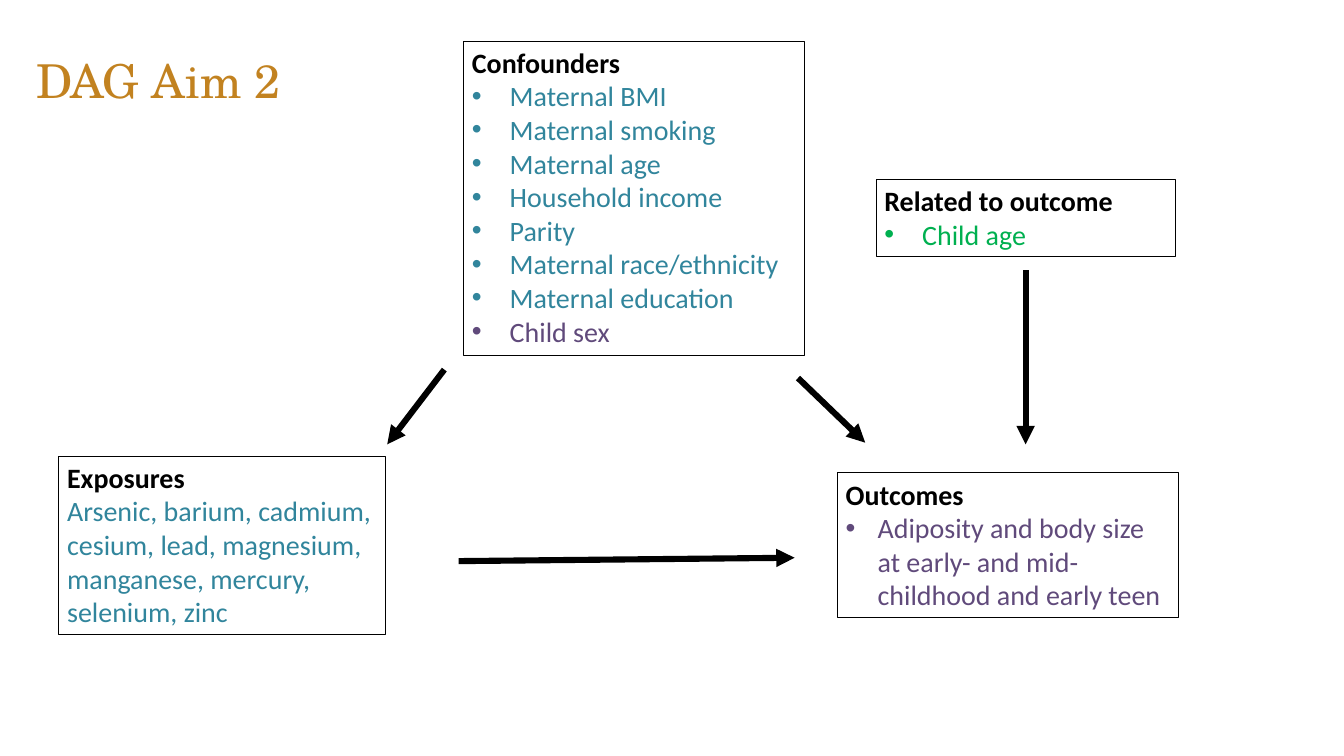
from lxml.etree import SubElement
from pptx import Presentation
from pptx.dml.color import RGBColor
from pptx.enum.shapes import MSO_CONNECTOR as Connector, MSO_SHAPE as Shape
from pptx.enum.text import MSO_ANCHOR as Anchor, MSO_AUTO_SIZE as AutoSize, PP_ALIGN as Align
from pptx.oxml.ns import qn
from pptx.util import Inches, Pt

COLUMNS, ROWS = 16, 9
WIDTH, HEIGHT = Inches(COLUMNS), Inches(ROWS)
COLORS = {"black": "000000", "teal": "31859C", "purple": "604A7B",
          "green": "00B050", "gold": "C28220"}

TITLE = ("DAG Aim 2", (0.33, 0.49, 3.29, 0.91))
BOXES = [
    ("Confounders", (5.52, 0.49, 4.06, 3.74), 0.45, [
        ("Maternal BMI", "teal"),
        ("Maternal smoking", "teal"),
        ("Maternal age", "teal"),
        ("Household income", "teal"),
        ("Parity", "teal"),
        ("Maternal race/ethnicity", "teal"),
        ("Maternal education", "teal"),
        ("Child sex", "purple"),
    ]),
    ("Outcomes", (9.97, 5.63, 4.06, 1.72), 0.38, [
        ("Adiposity and body size at early- and mid-childhood and early teen", "purple"),
    ]),
    ("Related to outcome", (10.43, 2.14, 3.56, 0.91), 0.45, [("Child age", "green")]),
    ("Exposures", (0.7, 5.43, 3.89, 2.12), 0, [
        ("Arsenic, barium, cadmium, cesium, lead, magnesium, manganese, mercury, "
         "selenium, zinc", "teal"),
    ]),
]
ARROWS = [
    (5.46, 6.68, 9.46, 6.64),
    (9.5, 4.5, 10.3, 5.27),
    (5.29, 4.4, 4.61, 5.29),
    (12.21, 3.22, 12.21, 5.29),
]

FRAME_FORMAT = {"word_wrap": True, "vertical_anchor": Anchor.MIDDLE,
                "margin_left": Inches(0.1), "margin_right": Inches(0.1),
                "margin_top": Inches(0.05), "margin_bottom": Inches(0.05)}
TITLE_FONT = {"name": "TeX Gyre Schola", "size": Pt(40), "bold": False}
BOX_FONT = {"name": "Calibri", "size": Pt(24)}


def on_grid(lengths):
    return [round(length * (HEIGHT / ROWS if index % 2 else WIDTH / COLUMNS))
            for index, length in enumerate(lengths)]


def set_all(target, values):
    for name, value in values.items():
        setattr(target, name, value)


def set_line(line, width):
    line.color.rgb = RGBColor.from_string(COLORS["black"])
    line.width = Pt(width)


def write(paragraph, text, color, font, indent=0):
    paragraph.text = text
    paragraph.alignment = Align.LEFT
    if indent:
        properties = paragraph._p.get_or_add_pPr()
        properties.set("marL", str(Inches(indent)))
        properties.set("indent", str(-Inches(indent)))
        SubElement(properties, qn("a:buFont"), typeface="Arial")
        SubElement(properties, qn("a:buChar"), char="•")
    set_all(paragraph.font, font)
    paragraph.font.color.rgb = RGBColor.from_string(COLORS[color])


def add_title(slide, text, place):
    title = slide.shapes.title
    set_all(title, dict(zip(("left", "top", "width", "height"), on_grid(place))))
    set_all(title.text_frame, FRAME_FORMAT | {"auto_size": AutoSize.NONE})
    write(title.text_frame.paragraphs[0], text, "gold", TITLE_FONT)


def add_box(slide, heading, place, indent, items):
    box = slide.shapes.add_shape(Shape.RECTANGLE, *on_grid(place))
    box.shadow.inherit = False
    box.fill.background()
    set_line(box.line, 0.75)
    frame = box.text_frame
    set_all(frame, FRAME_FORMAT | {"vertical_anchor": Anchor.TOP,
                                   "auto_size": AutoSize.SHAPE_TO_FIT_TEXT})
    write(frame.paragraphs[0], heading, "black", BOX_FONT | {"bold": True})
    for text, color in items:
        write(frame.add_paragraph(), text, color, BOX_FONT | {"bold": False}, indent)


def add_arrow(slide, ends):
    arrow = slide.shapes.add_connector(Connector.STRAIGHT, *on_grid(ends))
    set_line(arrow.line, 5.25)
    SubElement(arrow.line._get_or_add_ln(), qn("a:tailEnd"), type="triangle")
    SubElement(arrow._element.spPr, qn("a:effectLst"))


def main():
    presentation = Presentation()
    set_all(presentation, {"slide_width": WIDTH, "slide_height": HEIGHT})
    slide = presentation.slides.add_slide(presentation.slide_layouts[5])
    add_title(slide, *TITLE)
    for box in BOXES:
        add_box(slide, *box)
    for ends in ARROWS:
        add_arrow(slide, ends)
    presentation.save("out.pptx")


if __name__ == "__main__":
    main()
